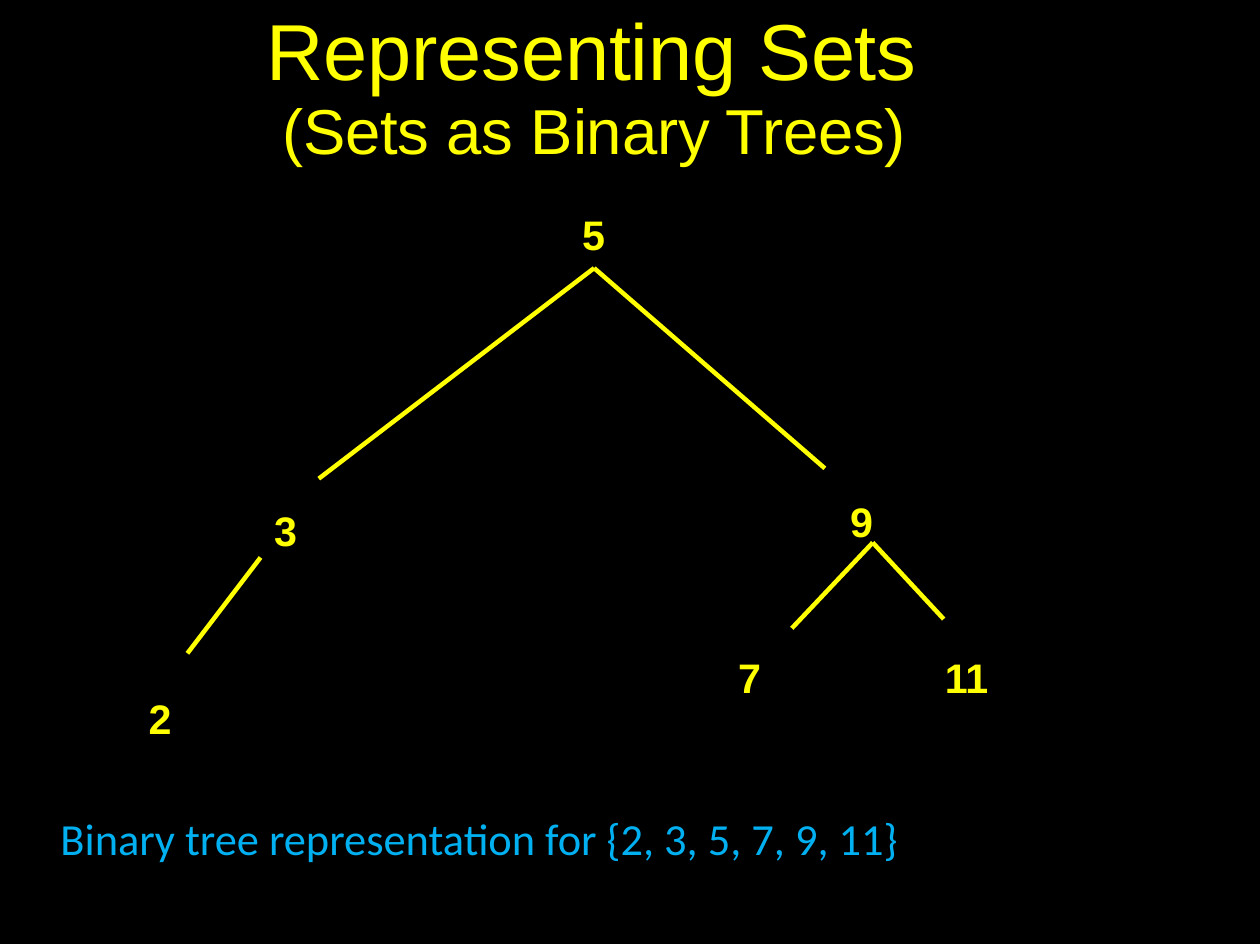
from dataclasses import dataclass

from lxml import etree
from pptx import Presentation
from pptx.dml.color import RGBColor
from pptx.enum.shapes import MSO_CONNECTOR
from pptx.enum.text import MSO_ANCHOR, PP_ALIGN
from pptx.oxml.ns import qn
from pptx.util import Pt

STRAIGHT = MSO_CONNECTOR.STRAIGHT
TOP = MSO_ANCHOR.TOP
LEFT, CENTER = PP_ALIGN.LEFT, PP_ALIGN.CENTER

TITLE = "Representing Sets"
SUBTITLE = "(Sets as Binary Trees)"
CAPTION = "Binary tree representation for {2, 3, 5, 7, 9, 11}"
NODES = {
    "5": (366.9, 128.6),
    "3": (172.8, 315.4),
    "9": (535.7, 309.6),
    "2": (93.6, 434.2),
    "7": (465.1, 408.2),
    "11": (595.4, 408.2),
}
BRANCHES = [
    ((374.4, 169), [(200.9, 301.7), (519.8, 295.2)]),
    ((164.2, 351.4), [(118.1, 411.8)]),
    ((550, 342), [(499, 396), (594.7, 390.2)]),
]


@dataclass(frozen=True)
class Theme:
    background: RGBColor = RGBColor(0, 0, 0)
    tree: RGBColor = RGBColor(255, 255, 0)
    caption: RGBColor = RGBColor(0, 176, 240)
    tree_font: str = "Arial"
    caption_font: str = "Calibri"
    title_size: float = 50
    subtitle_size: float = 40
    node_size: float = 26
    caption_size: float = 28
    branch_width: float = 2.83
    digit_width: float = 15.1
    node_height: float = 33


THEME = Theme()


def write(frame, text, size, color=THEME.tree, font=THEME.tree_font,
          bold=False, align=LEFT, insets=(0, 3, 0, 0), wrap=True, tracking=0):
    frame.word_wrap = wrap
    frame.vertical_anchor = TOP
    frame.margin_left, frame.margin_top, frame.margin_right, frame.margin_bottom = map(Pt, insets)
    paragraph = frame.paragraphs[0]
    paragraph.alignment = align
    run = paragraph.add_run()
    run.text = text
    run.font.name = font
    run.font.size = Pt(size)
    run.font.bold = bold
    run.font.color.rgb = color
    if tracking:
        run.font._element.set("spc", str(round(tracking * 100)))


def add_text(slide, place, text, size, **style):
    label = slide.shapes.add_textbox(*map(Pt, place))
    write(label.text_frame, text, size, **style)


def add_branch(slide, start, end):
    branch = slide.shapes.add_connector(STRAIGHT, *map(Pt, start + end))
    branch.line.color.rgb = THEME.tree
    branch.line.width = Pt(THEME.branch_width)
    etree.SubElement(branch._element.spPr, qn("a:effectLst"))


def main():
    deck = Presentation()
    deck.slide_width, deck.slide_height = Pt(794), Pt(595)
    slide = deck.slides.add_slide(deck.slide_layouts[5])
    slide.background.fill.solid()
    slide.background.fill.fore_color.rgb = THEME.background

    title = slide.shapes.title
    title.left, title.top, title.width, title.height = map(Pt, (167.8, -2.2, 413.3, 62))
    write(title.text_frame, TITLE, THEME.title_size, tracking=-0.1)
    add_text(slide, (175.7, 54.7, 397.4, 50), SUBTITLE, THEME.subtitle_size,
             align=CENTER, tracking=-0.1)

    for parent, children in BRANCHES:
        for child in children:
            add_branch(slide, parent, child)

    for value, (left, top) in NODES.items():
        place = (left, top, THEME.digit_width * len(value), THEME.node_height)
        add_text(slide, place, value, THEME.node_size, bold=True)

    add_text(slide, (31, 507.6, 548.6, 41), CAPTION, THEME.caption_size,
             color=THEME.caption, font=THEME.caption_font,
             insets=(7.2, 3.6, 7.2, 3.6), wrap=False)
    deck.save("out.pptx")


if __name__ == "__main__":
    main()
